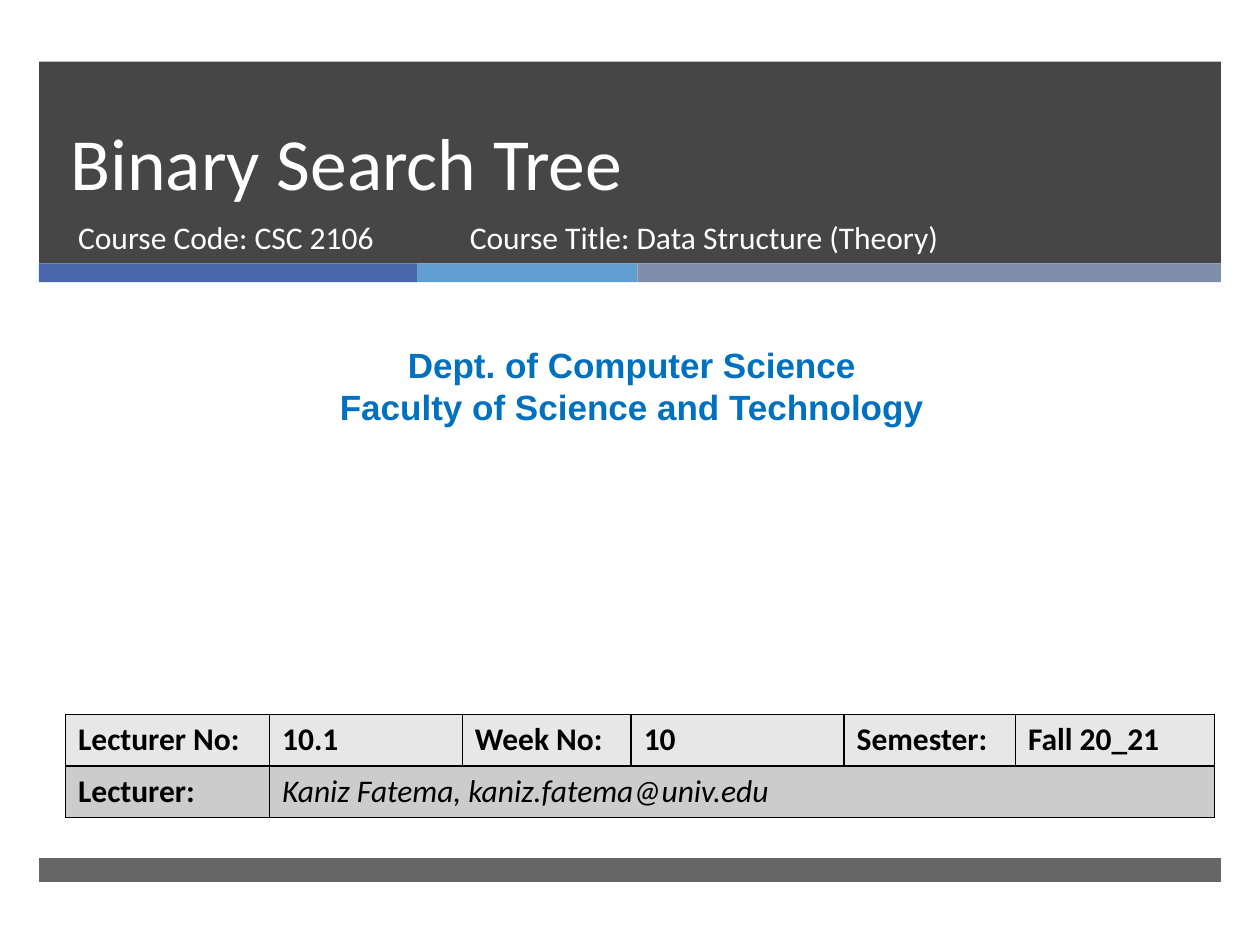
from lxml.etree import SubElement
from pptx import Presentation
from pptx.dml.color import RGBColor
from pptx.enum.shapes import MSO_SHAPE
from pptx.enum.text import MSO_ANCHOR, MSO_AUTO_SIZE, PP_ALIGN
from pptx.oxml.ns import qn
from pptx.util import Inches, Pt

WHITE = RGBColor(0xFF, 0xFF, 0xFF)
BLACK = RGBColor(0, 0, 0)
CHARCOAL = RGBColor(0x26, 0x26, 0x26)
DEPT_BLUE = RGBColor(0x00, 0x70, 0xC0)
STRIPES = [
    (3, RGBColor(0x4A, 0x66, 0xAC)),
    (1.75, RGBColor(0x62, 0x9D, 0xD1)),
    (4.63, RGBColor(0x7F, 0x8F, 0xA9)),
]
ROW_FILLS = [RGBColor(0xE7, 0xE7, 0xE7), RGBColor(0xCC, 0xCC, 0xCC)]

MARGIN, BAND_WIDTH = 0.31, 9.38
COURSE_TOP, COURSE_HEIGHT = 1.68, 0.53

COLUMNS = [1.62, 1.53, 1.34, 1.69, 1.36, 1.58]
ROW_HEIGHT = 0.41
DETAILS = [
    ["Lecturer No:", "10.1", "Week No:", "10", "Semester:", "Fall 20_21"],
    ["Lecturer:", "Kaniz Fatema, kaniz.fatema@univ.edu"],
]


def add_band(s, left, top, width, height, color, opacity=100):
    band = s.shapes.add_shape(
        MSO_SHAPE.RECTANGLE, *map(Inches, (left, top, width, height)))
    band.shadow.inherit = False
    band.fill.solid()
    band.fill.fore_color.rgb = color
    band.line.fill.background()
    if opacity < 100:
        clr = band.element.spPr.find(qn("a:solidFill"))[0]
        SubElement(clr, qn("a:alpha"), val=str(opacity * 1000))


def write(tf, text, size, color, font="Calibri", bold=False, italic=False,
          align=PP_ALIGN.LEFT):
    tf.text = text
    for p in tf.paragraphs:
        p.alignment = align
        p.space_before = Pt(0)
        for r in p.runs:
            r.font.name = font
            r.font.size = Pt(size)
            r.font.bold = bold
            r.font.italic = italic
            r.font.color.rgb = color


def place(sp, left, top, width, height, anchor=MSO_ANCHOR.TOP):
    sp.left, sp.top, sp.width, sp.height = map(
        Inches, (left, top, width, height))
    tf = sp.text_frame
    tf.word_wrap = True
    tf.auto_size = MSO_AUTO_SIZE.NONE
    tf.vertical_anchor = anchor
    return tf


def add_text(s, left, top, width, height):
    sp = s.shapes.add_textbox(0, 0, 0, 0)
    return place(sp, left, top, width, height)


def add_borders(cell):
    tc_pr = cell._tc.get_or_add_tcPr()
    for i, side in enumerate(("a:lnL", "a:lnR", "a:lnT", "a:lnB")):
        ln = tc_pr.makeelement(qn(side), {"w": str(Pt(1))})
        fill = SubElement(ln, qn("a:solidFill"))
        SubElement(fill, qn("a:srgbClr"), val=str(BLACK))
        tc_pr.insert(i, ln)


def add_details(s, left, top):
    table = s.shapes.add_table(
        len(DETAILS), len(COLUMNS), Inches(left), Inches(top),
        Inches(sum(COLUMNS)), Inches(ROW_HEIGHT * len(DETAILS))).table
    for column, width in zip(table.columns, COLUMNS):
        column.width = Inches(width)
    for row, fill, texts in zip(table.rows, ROW_FILLS, DETAILS):
        row.height = Inches(ROW_HEIGHT)
        for cell in row.cells:
            cell.fill.solid()
            cell.fill.fore_color.rgb = fill
            add_borders(cell)
        for cell, text in zip(row.cells, texts):
            is_name = "@" in text
            write(cell.text_frame, text, 18, BLACK,
                  bold=not is_name, italic=is_name)
    # The lecturer's name runs across the rest of its row
    table.cell(1, 1).merge(table.cell(1, len(COLUMNS) - 1))


def main():
    prs = Presentation()
    prs.slide_width, prs.slide_height = Inches(10), Inches(7.5)
    s = prs.slides.add_slide(prs.slide_layouts[0])
    title, subtitle = s.placeholders

    # Header, stripes and footer
    add_band(s, MARGIN, 0.49, BAND_WIDTH, 1.6, CHARCOAL, 85)
    left = MARGIN
    for width, color in STRIPES:
        add_band(s, left, 2.09, width, 0.15, color)
        left += width
    add_band(s, MARGIN, 6.81, BAND_WIDTH, 0.19, CHARCOAL, 70)

    # Title and course code, brought in front of the header
    for sp in (title, subtitle):
        sp.element.getparent().append(sp.element)
    tf = place(title, 0.46, 0.49, 8.54, 1.19, MSO_ANCHOR.BOTTOM)
    write(tf, "Binary Search Tree", 42, WHITE)
    tf.paragraphs[0].line_spacing = Pt(46)
    tf = place(subtitle, 0.52, COURSE_TOP, 3.05, COURSE_HEIGHT)
    write(tf, "Course Code: CSC 2106", 18, WHITE)

    # Department
    tf = add_text(s, 0.08, 2.68, 9.87, 0.77)
    write(tf, "Dept. of Computer Science\nFaculty of Science and Technology",
          20, DEPT_BLUE, font="Arial", bold=True, align=PP_ALIGN.CENTER)

    # Lecture details
    add_details(s, 0.52, 5.67)

    # Course title
    tf = add_text(s, 3.63, COURSE_TOP, 4.55, COURSE_HEIGHT)
    write(tf, "Course Title: Data Structure (Theory)", 18, WHITE)

    prs.save("out.pptx")


if __name__ == "__main__":
    main()
